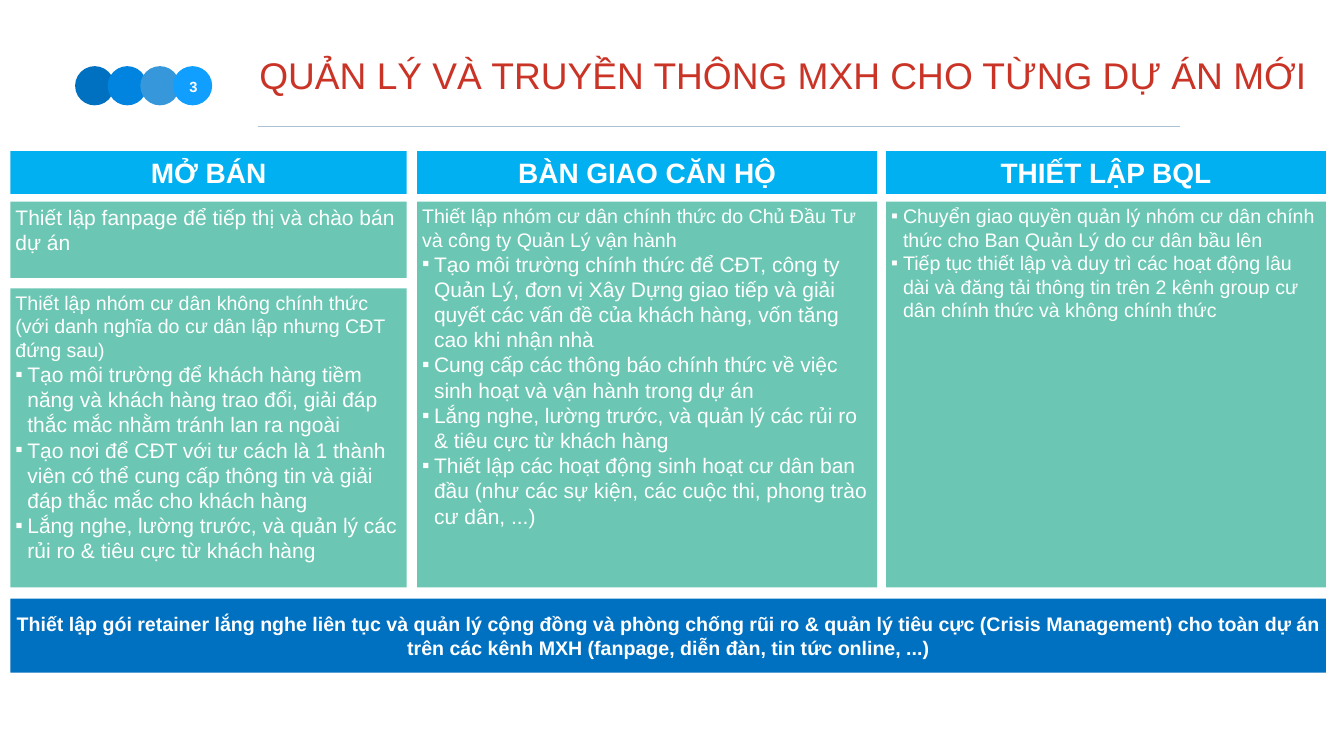
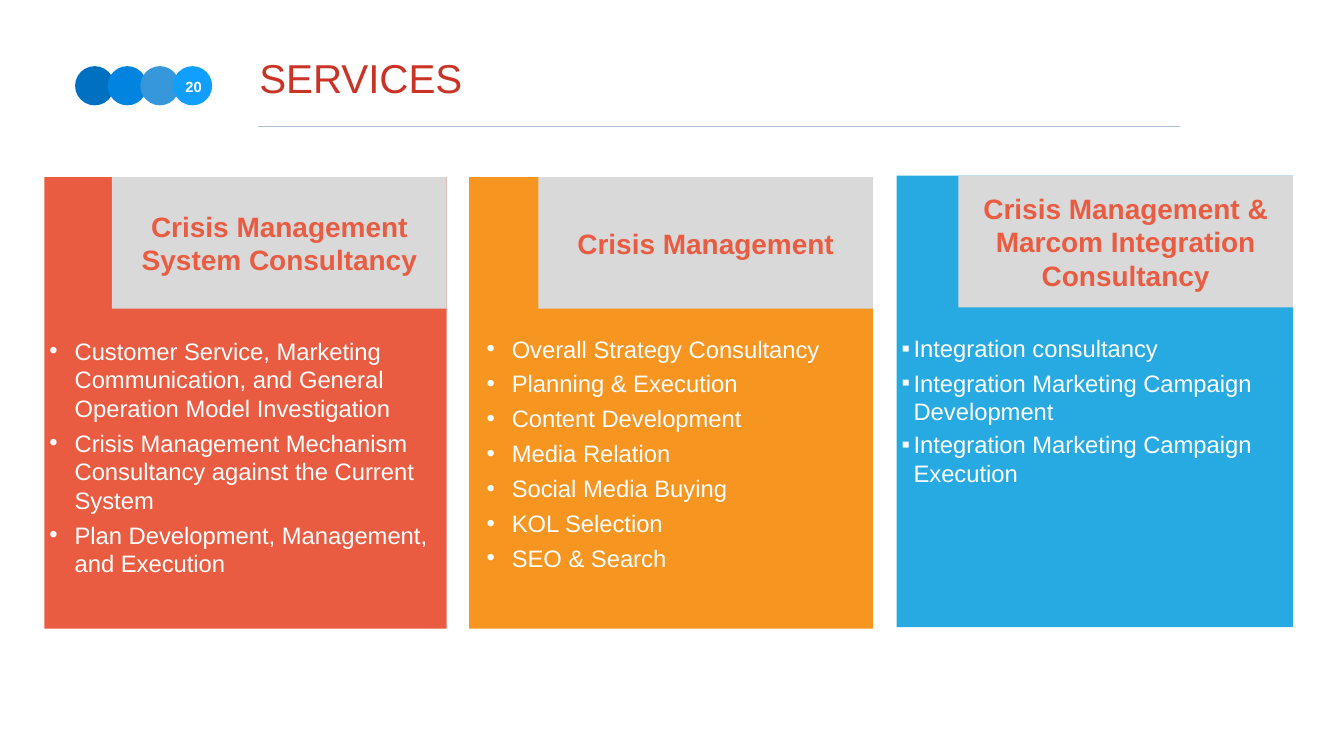
from dataclasses import dataclass

from lxml import etree
from pptx import Presentation
from pptx.dml.color import RGBColor
from pptx.enum.shapes import MSO_CONNECTOR, MSO_SHAPE
from pptx.enum.text import MSO_ANCHOR, MSO_AUTO_SIZE, PP_ALIGN
from pptx.oxml.ns import qn
from pptx.util import Pt

RECT, OVAL = MSO_SHAPE.RECTANGLE, MSO_SHAPE.OVAL
STRAIGHT = MSO_CONNECTOR.STRAIGHT
TOP, MIDDLE = MSO_ANCHOR.TOP, MSO_ANCHOR.MIDDLE
LEFT, CENTER = PP_ALIGN.LEFT, PP_ALIGN.CENTER
FIXED, GROW = MSO_AUTO_SIZE.NONE, MSO_AUTO_SIZE.SHAPE_TO_FIT_TEXT
SQUARE, DOT = "▪", "•"


@dataclass(frozen=True)
class Theme:
    """Font, colours and type sizes of the deck."""
    font: str = "Arial"
    title: str = "CA3427"
    rule: str = "ACC0D4"
    dots: tuple = ("0070C0", "0084DF", "3698DA", "119FFF")
    white: str = "FFFFFF"
    header: str = "00B0F0"
    panel: str = "6BC7B3"
    banner: str = "0070C0"
    tab: str = "D9D9D9"
    red: str = "EA5C42"
    orange: str = "F79521"
    blue: str = "27AAE1"
    number_size: float = 21
    note_size: float = 28
    body_size: float = 30
    list_size: float = 34
    head_size: float = 40
    long_title_size: float = 53
    title_size: float = 57.6


theme = Theme()


def add_box(slide, shape, left, top, width, height, fill):
    """Add a preset shape with a flat fill, or a text box when shape is None."""
    frame = [Pt(v) for v in (left, top, width, height)]
    if shape is None:
        sp = slide.shapes.add_textbox(*frame)
    else:
        sp = slide.shapes.add_shape(shape, *frame)
        sp.shadow.inherit = False
        sp.fill.solid()
        sp.fill.fore_color.rgb = RGBColor.from_string(fill)
        sp.line.fill.background()
    sp.text_frame.word_wrap = True
    return sp


def write(sp, items, color=theme.white, bold=False, align=LEFT, anchor=TOP,
          before=0, after=0):
    """Fill a shape with paragraphs given as (text, size, bullet, indent)."""
    tf = sp.text_frame
    tf.vertical_anchor = anchor
    for i, (text, size, bullet, indent) in enumerate(items):
        p = tf.paragraphs[0] if i == 0 else tf.add_paragraph()
        p.text = text
        p.alignment = align
        p.space_before, p.space_after = Pt(before), Pt(after)
        font = p.runs[0].font
        font.name, font.size, font.bold = theme.font, Pt(size), bold
        font.color.rgb = RGBColor.from_string(color)
        if bullet:
            pPr = p._p.get_or_add_pPr()
            pPr.set("marL", str(Pt(indent)))
            pPr.set("indent", str(-Pt(indent)))
            etree.SubElement(pPr, qn("a:buFont")).set("typeface", theme.font)
            etree.SubElement(pPr, qn("a:buChar")).set("char", bullet)


prs = Presentation()
prs.slide_width, prs.slide_height = Pt(1920), Pt(1080)

# Shared frame: title, four dots with the page number, rule
pages = [
    ("QUẢN LÝ VÀ TRUYỀN THÔNG MXH CHO TỪNG DỰ ÁN MỚI", theme.long_title_size, 1554, "3"),
    ("SERVICES", theme.title_size, 1449, "20"),
]
for text, size, width, number in pages:
    slide = prs.slides.add_slide(prs.slide_layouts[5])
    title = slide.shapes.title
    title.left, title.top, title.width, title.height = Pt(366), Pt(71), Pt(width), Pt(89)
    title.text_frame.auto_size = FIXED
    title.text_frame.word_wrap = True
    write(title, [(text, size, None, 0)], theme.title)

    for i, color in enumerate(theme.dots):
        add_box(slide, OVAL, 107.3 + 46.6 * i, 94.5, 56, 56, color)

    rule = slide.shapes.add_connector(STRAIGHT, Pt(369), Pt(181), Pt(1685), Pt(181))
    rule.line.color.rgb = RGBColor.from_string(theme.rule)
    rule.line.width = Pt(2)
    etree.SubElement(rule._element.spPr, qn("a:effectLst"))

    page_number = add_box(slide, None, 257.5, 106, 38, 34, None)
    page_number.text_frame.word_wrap = False
    page_number.text_frame.auto_size = GROW
    write(page_number, [(number, theme.number_size, None, 0)], bold=True, align=CENTER)

    for sp in (title, page_number):
        tf = sp.text_frame
        tf.margin_left = tf.margin_right = tf.margin_top = tf.margin_bottom = Pt(4.5)

project, services = prs.slides

# Project stages: a header over one or two panels, and a banner below
note, body = theme.note_size, theme.body_size
panel_top, panel_bottom = 288, 839
stages = [
    ("MỞ BÁN", 15, 566, [
        (panel_top, 109, [
            ("Thiết lập fanpage để tiếp thị và chào bán dự án", body, None),
        ]),
        (412, panel_bottom - 412, [
            ("Thiết lập nhóm cư dân không chính thức (với danh nghĩa do cư dân "
             "lập nhưng CĐT đứng sau)", note, None),
            ("Tạo môi trường để khách hàng tiềm năng và khách hàng trao đổi, "
             "giải đáp thắc mắc nhằm tránh lan ra ngoài", body, SQUARE),
            ("Tạo nơi để CĐT với tư cách là 1 thành viên có thể cung cấp thông "
             "tin và giải đáp thắc mắc cho khách hàng", body, SQUARE),
            ("Lắng nghe, lường trước, và quản lý các rủi ro & tiêu cực từ "
             "khách hàng", body, SQUARE),
        ]),
    ]),
    ("BÀN GIAO CĂN HỘ", 596, 657, [
        (panel_top, panel_bottom - panel_top, [
            ("Thiết lập nhóm cư dân chính thức do Chủ Đầu Tư và công ty Quản Lý "
             "vận hành", note, None),
            ("Tạo môi trường chính thức để CĐT, công ty Quản Lý, đơn vị Xây Dựng "
             "giao tiếp và giải quyết các vấn đề của khách hàng, vốn tăng cao "
             "khi nhận nhà", body, SQUARE),
            ("Cung cấp các thông báo chính thức về việc sinh hoạt và vận hành "
             "trong dự án", body, SQUARE),
            ("Lắng nghe, lường trước, và quản lý các rủi ro & tiêu cực từ "
             "khách hàng", body, SQUARE),
            ("Thiết lập các hoạt động sinh hoạt cư dân ban đầu (như các sự kiện, "
             "các cuộc thi, phong trào cư dân, ...)", body, SQUARE),
        ]),
    ]),
    ("THIẾT LẬP BQL", 1266, 628, [
        (panel_top, panel_bottom - panel_top, [
            ("Chuyển giao quyền quản lý nhóm cư dân chính thức cho Ban Quản Lý "
             "do cư dân bầu lên", note, SQUARE),
            ("Tiếp tục thiết lập và duy trì các hoạt động lâu dài và đăng tải "
             "thông tin trên 2 kênh group cư dân chính thức và không chính thức",
             note, SQUARE),
        ]),
    ]),
]
for name, left, width, panels in stages:
    sp = add_box(project, RECT, left, 216, width, 61, theme.header)
    write(sp, [(name, theme.head_size, None, 0)], bold=True, align=CENTER, anchor=MIDDLE)
    for top, height, items in panels:
        sp = add_box(project, RECT, left, top, width, height, theme.panel)
        write(sp, [(text, size, bullet, 17) for text, size, bullet in items])

sp = add_box(project, RECT, 15, 855, 1879, 106, theme.banner)
banner = ("Thiết lập gói retainer lắng nghe liên tục và quản lý cộng đồng và phòng "
          "chống rũi ro & quản lý tiêu cực (Crisis Management) cho toàn dự án trên "
          "các kênh MXH (fanpage, diễn đàn, tin tức online, ...)")
write(sp, [(banner, note, None, 0)], bold=True, align=CENTER, anchor=MIDDLE)

# Service cards: a grey tab in the top right corner and a list below
tab_width, tab_height = 478, 188
cards = [
    ("Crisis Management System Consultancy", theme.red, (63.5, 253, 574.5, 645),
     (63.5, 477, 574.5, 355), DOT, 36,
     ["Customer Service, Marketing Communication, and General Operation Model "
      "Investigation",
      "Crisis Management Mechanism Consultancy against the Current System",
      "Plan Development, Management, and Execution"]),
    ("Crisis Management", theme.orange, (670, 253, 577, 645),
     (688, 474, 541, 350), DOT, 36,
     ["Overall Strategy Consultancy", "Planning & Execution",
      "Content Development", "Media Relation", "Social Media Buying",
      "KOL Selection", "SEO & Search"]),
    ("Crisis Management & Marcom Integration Consultancy", theme.blue,
     (1281, 251, 566, 645), (1281, 473, 566, 228), SQUARE, 17,
     ["Integration consultancy", "Integration Marketing Campaign Development",
      "Integration Marketing Campaign Execution"]),
]
for name, color, card, list_frame, bullet, indent, items in cards:
    left, top, width, height = card
    add_box(services, RECT, left, top, width, height, color)
    sp = add_box(services, RECT, left + width - tab_width, top, tab_width, tab_height,
                 theme.tab)
    write(sp, [(name, theme.head_size, None, 0)], theme.red, bold=True, align=CENTER,
          anchor=MIDDLE)
    sp = add_box(services, None, *list_frame, None)
    write(sp, [(text, theme.list_size, bullet, indent) for text in items],
          before=3, after=6)

# The last item of the last card sits closer to the one above
last = sp.text_frame.paragraphs[-1]
last.space_before = last.space_after = Pt(0)

prs.save("out.pptx")
